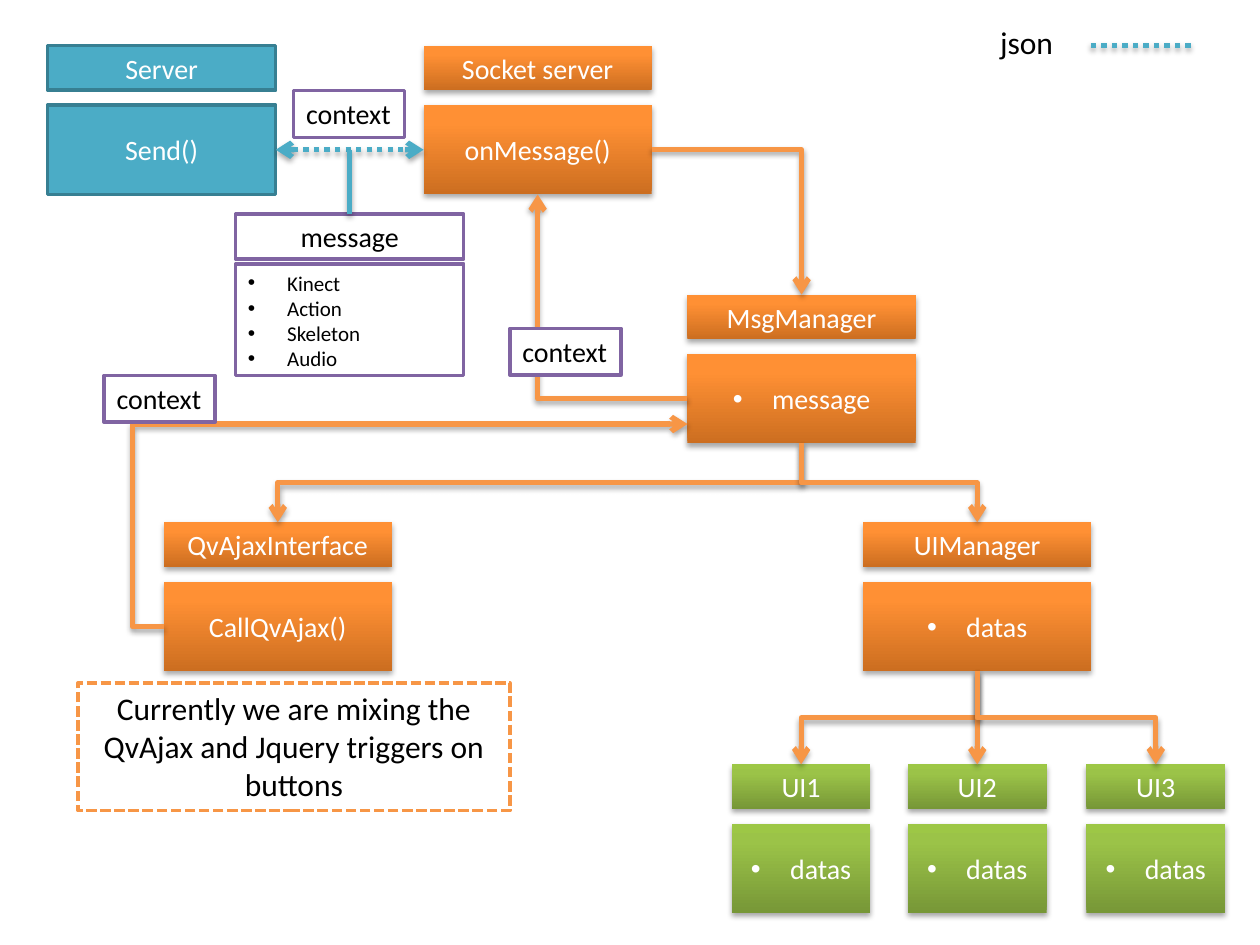
from copy import deepcopy
from dataclasses import dataclass

from lxml import etree
from pptx import Presentation
from pptx.dml.color import RGBColor
from pptx.enum.dml import MSO_LINE
from pptx.enum.shapes import MSO_CONNECTOR, MSO_SHAPE
from pptx.enum.text import MSO_ANCHOR, MSO_AUTO_SIZE, PP_ALIGN
from pptx.oxml.ns import qn
from pptx.util import Cm, Pt

RECT = MSO_SHAPE.RECTANGLE
STRAIGHT, ELBOW = MSO_CONNECTOR.STRAIGHT, MSO_CONNECTOR.ELBOW
DOTS, DASHES = MSO_LINE.ROUND_DOT, MSO_LINE.SQUARE_DOT
TOP, MIDDLE = MSO_ANCHOR.TOP, MSO_ANCHOR.MIDDLE
LEFT, CENTER = PP_ALIGN.LEFT, PP_ALIGN.CENTER
GROW = MSO_AUTO_SIZE.SHAPE_TO_FIT_TEXT

COLORS = {
    "white": "FFFFFF", "black": "000000", "teal": "4BACC6",
    "teal edge": "377F92", "purple": "8064A2", "orange": "F79646",
}
GRADIENTS = {
    "orange": ((0, "CC6E20"), (0.8, "FF9034"), (1, "FF9136")),
    "green": ((0, "779737"), (0.8, "9BC348"), (1, "9DC746")),
}
CARD_TEXT = {"word_wrap": True, "vertical_anchor": MIDDLE}
LIST_TEXT = {"word_wrap": True, "vertical_anchor": TOP}
NOTE_TEXT = {**LIST_TEXT, "auto_size": GROW}
LABEL_TEXT = {**NOTE_TEXT, "word_wrap": False}

CARD_WIDTH, CARD_HEIGHT = 4.6, 3
TITLE_HEIGHT, BODY_OFFSET = 0.9, 1.2


@dataclass
class Box:
    left: float
    top: float
    width: float = CARD_WIDTH
    height: float = CARD_HEIGHT

    def band(self, top, height):
        return Box(self.left, self.top + top, self.width, height)

    def point(self, across, down):
        return self.left + across * self.width, self.top + down * self.height

    def lengths(self):
        return [Cm(n) for n in (self.left, self.top, self.width, self.height)]


def color(name):
    return RGBColor.from_string(COLORS[name])


def cast_shadow(effects):
    shadow = etree.SubElement(effects, qn("a:outerShdw"), blurRad="40000",
                              dist="23000", dir="5400000", rotWithShape="0")
    black = etree.SubElement(shadow, qn("a:srgbClr"), val=COLORS["black"])
    etree.SubElement(black, qn("a:alpha"), val="35000")


def add_bullet(paragraph):
    properties = paragraph._p.get_or_add_pPr()
    properties.set("marL", str(Cm(0.79)))
    properties.set("indent", str(Cm(-0.79)))
    etree.SubElement(properties, qn("a:buFont"), typeface="Arial")
    etree.SubElement(properties, qn("a:buChar"), char="•")


def write(frame, lines, layout, ink, size=16, align=CENTER, bulleted=False):
    for name, value in layout.items():
        setattr(frame, name, value)
    for index, line in enumerate(lines):
        paragraph = frame.paragraphs[0] if index == 0 else frame.add_paragraph()
        paragraph.alignment = align
        run = paragraph.add_run()
        run.text = line
        font = {"name": "Calibri", "size": Pt(size)}
        for name, value in font.items():
            setattr(run.font, name, value)
        run.font.color.rgb = color(ink)
        if bulleted:
            add_bullet(paragraph)


def outlined(slide, box, fill, edge, dash=None):
    panel = slide.shapes.add_shape(RECT, *box.lengths())
    panel.shadow.inherit = False
    panel.fill.solid()
    panel.fill.fore_color.rgb = color(fill)
    panel.line.color.rgb = color(edge)
    panel.line.width = Pt(2)
    if dash:
        panel.line.dash_style = dash
    return panel.text_frame


def shaded(slide, box, tint):
    panel = slide.shapes.add_shape(RECT, *box.lengths())
    panel.line.fill.background()
    panel.fill.gradient()
    panel.fill.gradient_angle = 90
    properties = panel.element.spPr
    stops = properties.find(".//" + qn("a:gsLst"))
    stops.append(deepcopy(stops[-1]))
    for stop, (position, shade) in zip(panel.fill.gradient_stops, GRADIENTS[tint]):
        stop.position = position
        stop.color.rgb = RGBColor.from_string(shade)
    panel.shadow.inherit = False
    cast_shadow(properties.find(qn("a:effectLst")))
    return panel.text_frame


def module_card(slide, box, title, body, tint="orange", bulleted=False):
    write(shaded(slide, box.band(0, TITLE_HEIGHT), tint), [title], CARD_TEXT, "white")
    body_box = box.band(BODY_OFFSET, box.height - BODY_OFFSET)
    write(shaded(slide, body_box, tint), [body], CARD_TEXT, "white", bulleted=bulleted)


def server_card(slide, box):
    bands = (("Server", 0, TITLE_HEIGHT), ("Send()", BODY_OFFSET, box.height - BODY_OFFSET))
    for text, top, height in bands:
        frame = outlined(slide, box.band(top, height), "teal", "teal edge")
        write(frame, [text], CARD_TEXT, "white")


def message_card(slide, box):
    title = outlined(slide, box.band(0, TITLE_HEIGHT), "white", "purple")
    write(title, ["message"], CARD_TEXT, "black")
    kinds = outlined(slide, box.band(1, box.height - 1), "white", "purple")
    write(kinds, ["Kinect", "Action", "Skeleton", "Audio"], LIST_TEXT, "black",
          size=12, align=LEFT, bulleted=True)


def context_tag(slide, box):
    write(outlined(slide, box, "white", "purple"), ["context"], LABEL_TEXT, "black", align=LEFT)


def trigger_note(slide, box):
    text = "Currently we are mixing the QvAjax and Jquery triggers on buttons"
    write(outlined(slide, box, "white", "orange", DASHES), [text], NOTE_TEXT, "black", size=18)


def link(slide, start, end, hue="orange", kind=STRAIGHT, ends=("tailEnd",), dash=None):
    connector = slide.shapes.add_connector(kind, *[Cm(n) for n in (*start, *end)])
    connector.line.color.rgb = color(hue)
    connector.line.width = Pt(3)
    if dash:
        connector.line.dash_style = dash
    properties = connector.element.spPr
    for end_name in ends:
        etree.SubElement(properties.find(qn("a:ln")), qn("a:" + end_name), type="arrow")
    cast_shadow(etree.SubElement(properties, qn("a:effectLst")))
    return properties


def corner(slide, start, end):
    properties = link(slide, start, end, kind=ELBOW)
    properties.find(qn("a:prstGeom")).set("prst", "bentConnector2")


def detour(slide, start, end, percent):
    geometry = link(slide, start, end, kind=ELBOW).find(qn("a:prstGeom"))
    guides = geometry.find(qn("a:avLst"))
    etree.SubElement(guides, qn("a:gd"), name="adj1", fmla=f"val {percent * 1000}")


def branch(slide, start, end):
    (x1, y1), (x2, y2) = start, end
    side = 1 if x2 > x1 else -1
    x, y = (x1 + x2) / 2, (y1 + y2) / 2
    reach, spread = side * (y2 - y1) / 2, abs(x2 - x1) / 2
    properties = link(slide, (x + reach, y - spread), (x - reach, y + spread), kind=ELBOW)
    turn = 270 if side > 0 else 90
    properties.find(qn("a:xfrm")).set("rot", str(turn * 60000))


def json_legend(slide, box):
    label = slide.shapes.add_textbox(*Box(box.left, box.top, 1.6, box.height).lengths())
    write(label.text_frame, ["json"], LABEL_TEXT, "black", size=18, align=LEFT)
    line_y = box.top + 0.59
    link(slide, (box.left + 2.08, line_y), (box.left + box.width, line_y), "teal",
         ends=(), dash=DOTS)


def main():
    deck = Presentation()
    deck.slide_width, deck.slide_height = Cm(25.4), Cm(19.05)
    slide = deck.slides.add_slide(deck.slide_layouts[6])

    server, socket = Box(0.96, 0.92), Box(8.54, 0.92)
    manager, ajax, ui = Box(13.86, 5.94), Box(3.3, 10.53), Box(17.4, 10.53)
    views = [Box(left, 15.41, 2.8) for left in (14.75, 18.3, 21.9)]
    message = Box(4.75, 4.32, CARD_WIDTH, 3.25)

    module_card(slide, socket, "Socket server", "onMessage()")
    module_card(slide, manager, "MsgManager", "message", bulleted=True)
    module_card(slide, ajax, "QvAjaxInterface", "CallQvAjax()")
    module_card(slide, ui, "UIManager", "datas", bulleted=True)
    for number, view in enumerate(views, 1):
        module_card(slide, view, f"UI{number}", "datas", "green", True)

    corner(slide, socket.point(1, 0.7), manager.point(0.5, 0))
    for target in (ajax, ui):
        branch(slide, manager.point(0.5, 1), target.point(0.5, 0))
    for view, connect in zip(views, (branch, link, branch)):
        connect(slide, ui.point(0.5, 1), view.point(0.5, 0))
    detour(slide, ajax.point(0, 0.7), manager.point(0, 0.87), -6)

    server_card(slide, server)
    message_card(slide, message)
    link(slide, server.point(1, 0.7), socket.point(0, 0.7), "teal",
         ends=("headEnd", "tailEnd"), dash=DOTS)
    message_top = message.point(0.5, 0)
    link(slide, (message_top[0], server.point(1, 0.7)[1]), message_top, "teal", ends=())
    corner(slide, manager.point(0, 0.7), socket.point(0.5, 1))

    for left, top in ((2.1, 7.57), (10.28, 6.62), (5.92, 1.83)):
        context_tag(slide, Box(left, top, 2.24, 0.94))
    json_legend(slide, Box(19.91, 0.33, 4.19, 1.02))
    trigger_note(slide, Box(1.57, 13.77, 8.71, 2.57))
    deck.save("out.pptx")


if __name__ == "__main__":
    main()
